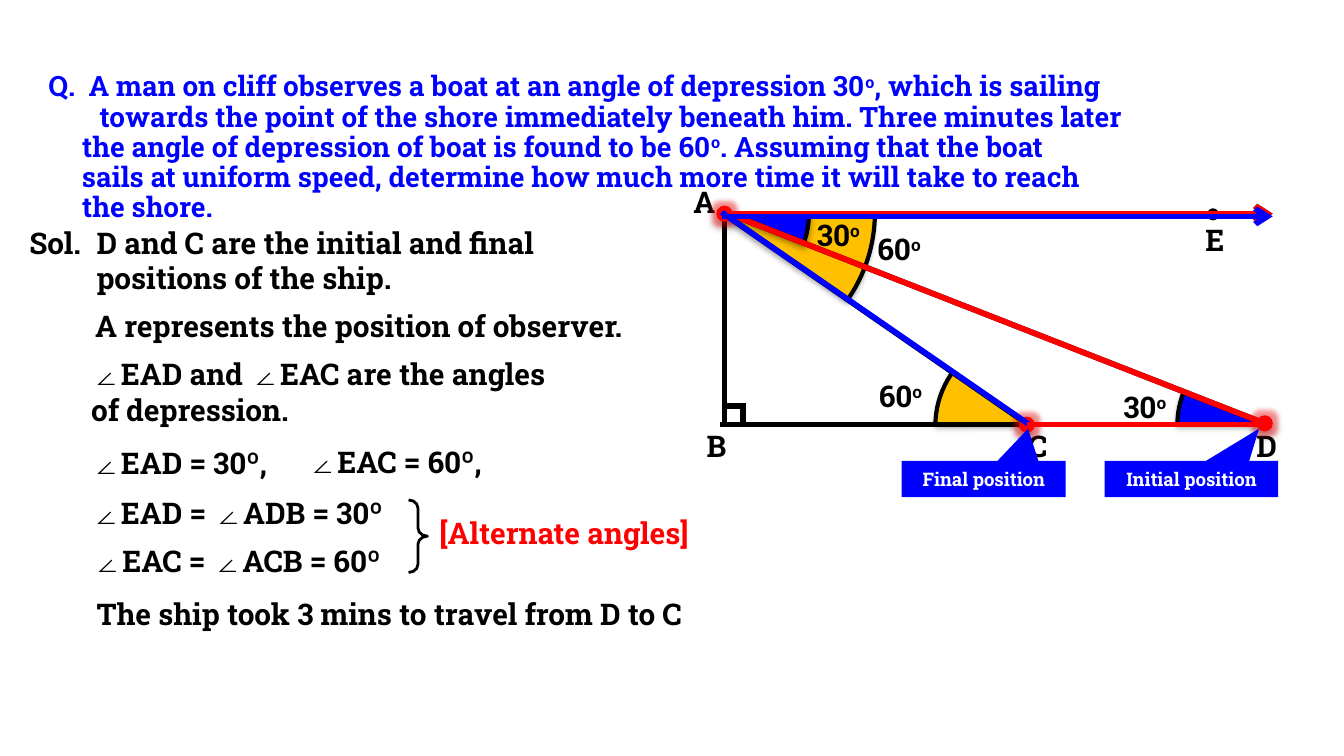
from dataclasses import dataclass

from lxml.etree import SubElement
from pptx import Presentation
from pptx.dml.color import RGBColor
from pptx.enum.shapes import MSO_CONNECTOR, MSO_SHAPE
from pptx.enum.text import MSO_ANCHOR, MSO_AUTO_SIZE, PP_ALIGN
from pptx.oxml.ns import qn
from pptx.util import Inches, Pt

COLORS = {"black": "000000", "blue": "0000FF", "red": "FF0000",
          "gold": "FFC000", "white": "FFFFFF"}
FONT, SYMBOL_FONT = "Roboto Slab", "Arial"
ANGLE_UNIT = 0.6  # adjustment value of one degree


@dataclass
class Label:
    """Text in which | parts the spans; a span "o" is raised as a degree sign."""
    left: float
    top: float
    width: float
    lines: tuple[str, ...]
    color: str = "black"


@dataclass
class Sector:
    left: float
    top: float
    size: float
    start: float
    end: float
    color: str = "black"


@dataclass
class Segment:
    start: tuple[float, float]
    end: tuple[float, float]
    color: str = "black"
    arrow: bool = False


@dataclass
class Callout:
    left: float
    width: float
    tip: float
    text: str


QUESTION = (  # left margin, first-line indent, text
    (0.3, -0.3, "Q.\tA man on cliff observes a boat at an angle of depression 30|o|, which is sailing"),
    (0.38, 0, "towards the point of the shore immediately beneath him. Three minutes later"),
    (0.25, 0, "the angle of depression of boat is found to be 60|o|. Assuming that the boat"),
    (0.25, 0, "sails at uniform speed, determine how much more time it will take to reach"),
    (0.25, 0, "the shore."),
)
SOLUTION = (
    Label(0.62, 1.62, 4.6, ("D and C are the initial and final", "positions of the ship.")),
    Label(0.12, 1.62, 0.69, ("Sol.",)),
    Label(0.61, 2.24, 4.6, ("A represents the position of observer.",)),
    Label(0.58, 2.6, 3.92, ("∠|EAD and |∠|EAC are the angles", "of depression.")),
    Label(0.58, 3.26, 1.83, ("∠|EAD = 30º,",)),
    Label(2.19, 3.25, 1.83, ("∠|EAC = 60º,",)),
    Label(0.58, 3.63, 3.33, ("∠|EAD = |∠|ADB = 30º",)),
    Label(0.59, 3.99, 2.57, ("∠|EAC = |∠|ACB = 60º",)),
    Label(3.17, 3.78, 2.74, ("[Alternate angles]",), "red"),
    Label(0.62, 4.38, 5.46, ("The ship took 3 mins to travel from D to C",)),
)
FIGURE_LABELS = (
    Label(5.06, 1.32, 0.32, ("A",)),
    Label(5.16, 3.13, 0.37, ("B",)),
    Label(7.55, 3.13, 0.38, ("C",)),
    Label(9.25, 3.13, 0.35, ("D",)),
    Label(8.87, 1.6, 0.46, ("E",)),
    Label(5.98, 1.56, 0.61, ("30|o",)),
    Label(6.43, 1.67, 0.67, ("60|o",)),
    Label(8.26, 2.84, 0.68, ("30|o",)),
    Label(6.44, 2.76, 0.65, ("60|o",)),
)
PIES = (
    Sector(6.96, 2.48, 1.35, 324.6, 0.18, "gold"),
    Sector(8.75, 2.48, 1.35, 338.42, 359.99, "blue"),
    Sector(4.25, 0.49, 2.25, 146.08, 181.27, "gold"),
    Sector(4.77, 0.97, 1.26, 158.55, 180.59, "blue"),
)
ARCS = (
    Sector(4.26, 0.46, 2.25, 1.07, 34.7),
    Sector(4.76, 0.96, 1.26, 359.1, 20.8),
    Sector(6.96, 2.49, 1.35, 180.7, 216.78),
    Sector(8.76, 2.49, 1.35, 180.46, 201.69),
)
TRIANGLE = (
    Segment((5.39, 1.57), (5.39, 3.16)),
    Segment((5.36, 1.59), (9.47, 1.59), arrow=True),
    Segment((5.37, 1.58), (7.65, 3.16)),
    Segment((5.39, 3.02), (5.53, 3.02)),
    Segment((5.53, 3), (5.53, 3.17)),
    Segment((5.37, 1.57), (9.46, 3.17)),
    Segment((7.62, 3.16), (9.46, 3.16)),
    Segment((5.36, 3.16), (7.65, 3.16)),
)
SIGHT_LINES = (
    Segment((5.37, 1.59), (9.47, 1.59), "red", True),
    Segment((5.37, 1.57), (9.46, 3.17), "red"),
    Segment((5.37, 1.61), (9.47, 1.61), "blue", True),
    Segment((5.37, 1.58), (7.66, 3.16), "blue"),
    Segment((9.39, 3.16), (7.64, 3.16), "red"),
)
CALLOUTS = (
    Callout(8.22, 1.29, -0.39, "Initial position"),
    Callout(6.71, 1.22, -0.27, "Final position"),
)
POINTS = ((7.58, 3.1), (9.35, 3.09), (5.33, 1.53))


def rgb(name: str) -> RGBColor:
    return RGBColor.from_string(COLORS[name])


def write(paragraph, text: str, size: float, color: str) -> None:
    for part in text.split("|"):
        span = paragraph.add_run()
        span.text = part
        span.font.name = SYMBOL_FONT if part == "∠" else FONT
        span.font.size, span.font.bold = Pt(size), True
        span.font.color.rgb = rgb(color)
        if part == "o":
            span.font._element.set("baseline", "30000")


def add_label(page, label: Label) -> None:
    box = page.shapes.add_textbox(Inches(label.left), Inches(label.top), Inches(label.width),
                                  Inches(0.1 + 0.27 * len(label.lines)))
    frame = box.text_frame
    frame.word_wrap, frame.auto_size = True, MSO_AUTO_SIZE.SHAPE_TO_FIT_TEXT
    for index, line in enumerate(label.lines):
        para = frame.add_paragraph() if index else frame.paragraphs[0]
        write(para, line, 16, label.color)


def add_question(page) -> None:
    title = page.shapes.title
    title.left, title.top = Inches(0.26), Inches(0.49)
    title.width, title.height = Inches(9.7), Inches(1.24)
    frame = title.text_frame
    frame.word_wrap, frame.auto_size = True, MSO_AUTO_SIZE.NONE
    frame.vertical_anchor = MSO_ANCHOR.TOP
    for index, (margin, indent, line) in enumerate(QUESTION):
        para = frame.add_paragraph() if index else frame.paragraphs[0]
        para.alignment, para.line_spacing = PP_ALIGN.LEFT, 0.9
        properties = para._p.get_or_add_pPr()
        properties.set("marL", str(Inches(margin)))
        properties.set("indent", str(Inches(indent)))
        write(para, line, 15, "blue")


def add_outline(page, kind, left, top, width, height, fill=None, line_width=0, flip=False):
    shape = page.shapes.add_shape(kind, Inches(left), Inches(top), Inches(width), Inches(height))
    shape.shadow.inherit = False
    if fill:
        shape.fill.solid()
        shape.fill.fore_color.rgb = rgb(fill)
    else:
        shape.fill.background()
    if line_width:
        shape.line.color.rgb, shape.line.width = rgb("black"), Pt(line_width)
    else:
        shape.line.fill.background()
    if flip:
        shape._element.spPr.find(qn("a:xfrm")).set("flipH", "1")
    return shape


def add_effect(shape, tag: str, color: str, alpha: int, **lengths) -> None:
    effects = shape._element.spPr.find(qn("a:effectLst"))
    effect = SubElement(effects, qn(tag), {key: str(value) for key, value in lengths.items()})
    tint = SubElement(effect, qn("a:srgbClr"), val=COLORS[color])
    SubElement(tint, qn("a:alpha"), val=str(alpha * 1000))


def add_shadow(shape, alpha: int, blur: float, distance: float) -> None:
    add_effect(shape, "a:outerShdw", "black", alpha,
               blurRad=Pt(blur), dist=Pt(distance), dir=90 * 60000, rotWithShape=0)


def add_sector(page, kind, sector: Sector) -> None:
    filled = kind == MSO_SHAPE.PIE
    shape = add_outline(page, kind, sector.left, sector.top, sector.size, sector.size,
                        sector.color if filled else None, 0 if filled else 2.25, filled)
    shape.adjustments[0] = sector.start * ANGLE_UNIT
    shape.adjustments[1] = sector.end * ANGLE_UNIT
    if filled:
        add_shadow(shape, 35, 3.1, 1.8)


def add_segment(page, segment: Segment) -> None:
    ends = [Inches(value) for value in segment.start + segment.end]
    line = page.shapes.add_connector(MSO_CONNECTOR.STRAIGHT, *ends)
    line.line.color.rgb, line.line.width = rgb(segment.color), Pt(3)
    if segment.arrow:
        SubElement(line.line._get_or_add_ln(), qn("a:tailEnd"), type="arrow")
    SubElement(line._element.spPr, qn("a:effectLst"))


def add_point(page, left: float, top: float) -> None:
    point = add_outline(page, MSO_SHAPE.OVAL, left, top, 0.12, 0.12, "red")
    add_effect(point, "a:glow", "red", 40, rad=Pt(5))
    add_shadow(point, 32, 3.5, 2.2)


def add_callout(page, callout: Callout) -> None:
    shape = add_outline(page, MSO_SHAPE.RECTANGULAR_CALLOUT, callout.left, 3.43,
                        callout.width, 0.27, "blue", flip=True)
    shape.adjustments[0], shape.adjustments[1] = callout.tip, -1.39
    shape.text_frame.word_wrap = False
    para = shape.text_frame.paragraphs[0]
    para.alignment = PP_ALIGN.CENTER
    write(para, callout.text, 10, "white")


def main() -> None:
    deck = Presentation()
    deck.slide_width = Inches(10)
    deck.slide_height = deck.slide_width * 9 // 16
    page = deck.slides.add_slide(deck.slide_layouts[5])
    add_question(page)

    # Angles, triangle and their labels
    for pie in PIES:
        add_sector(page, MSO_SHAPE.PIE, pie)
    for segment in TRIANGLE:
        add_segment(page, segment)
    add_outline(page, MSO_SHAPE.OVAL, 8.98, 1.55, 0.09, 0.09, "black")
    for arc in ARCS:
        add_sector(page, MSO_SHAPE.ARC, arc)
    for label in FIGURE_LABELS + SOLUTION:
        add_label(page, label)

    # Observer, boat positions and lines of sight
    for left, top in POINTS:
        add_point(page, left, top)
    for callout in CALLOUTS:
        add_callout(page, callout)
    for segment in SIGHT_LINES:
        add_segment(page, segment)

    # Brace joining the alternate angles
    brace = add_outline(page, MSO_SHAPE.RIGHT_BRACE, 3.04, 3.72, 0.14, 0.54, line_width=1.5)
    brace.adjustments[0] = 0.43
    deck.save("out.pptx")


if __name__ == "__main__":
    main()
